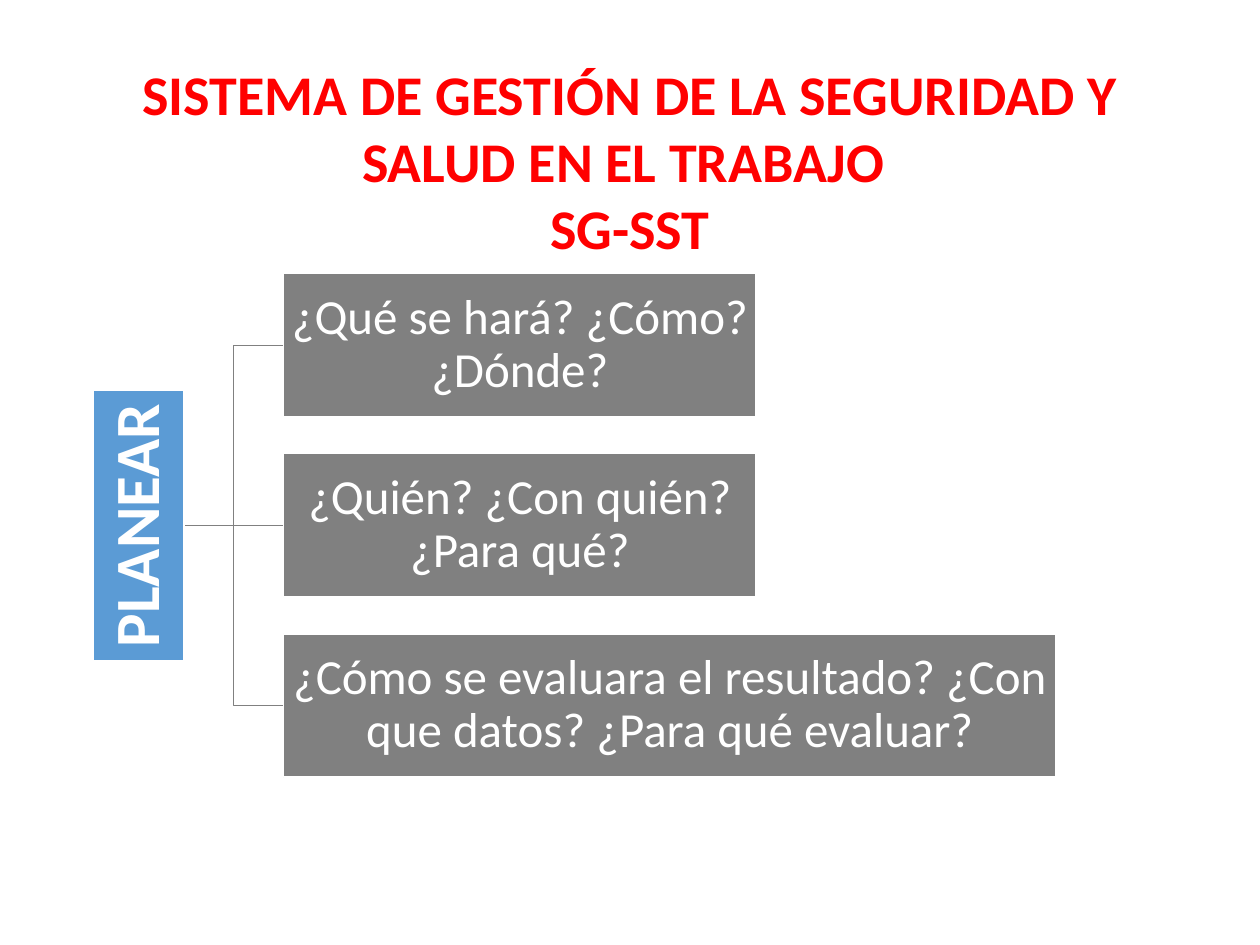
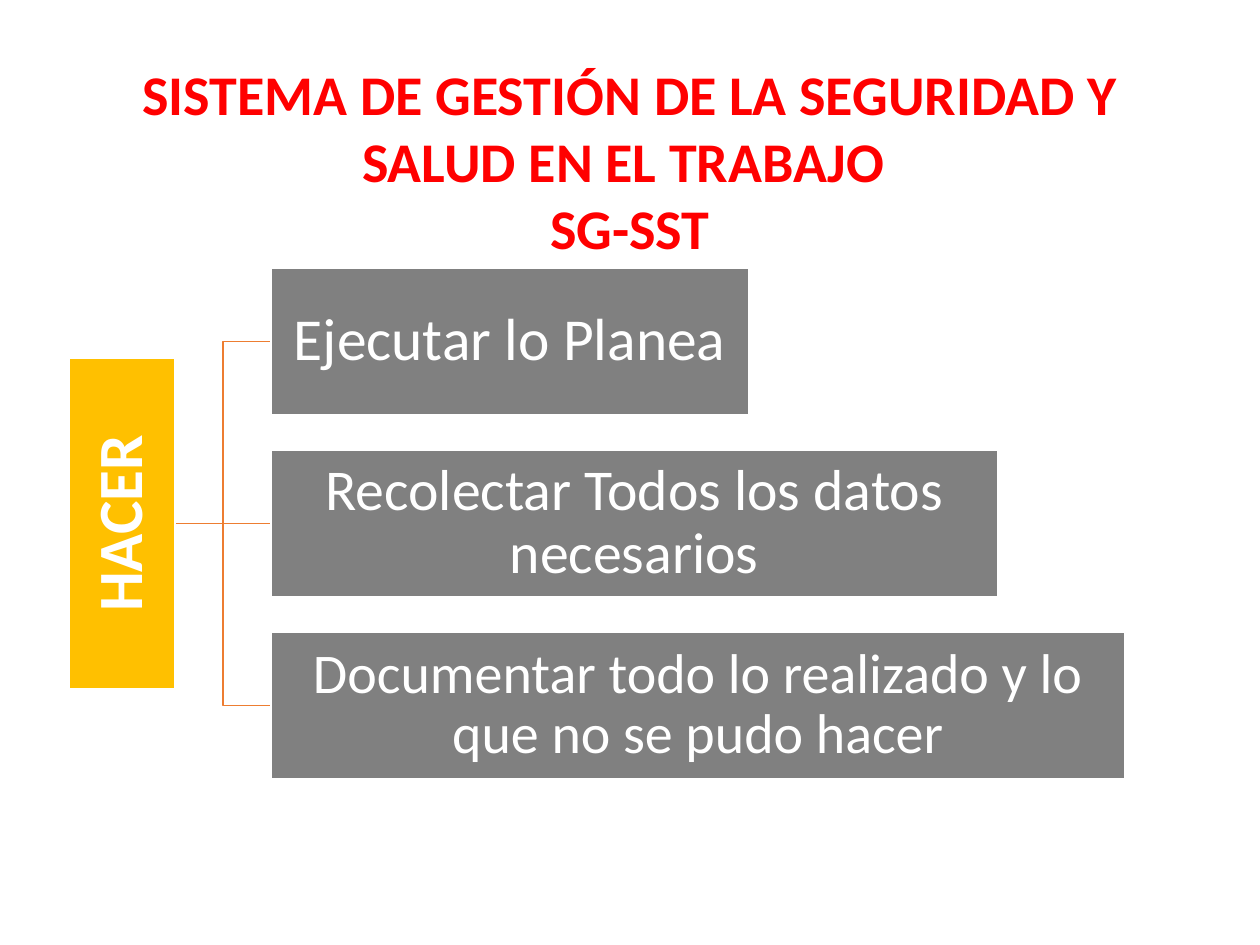
from lxml.etree import SubElement
from pptx import Presentation
from pptx.dml.color import RGBColor
from pptx.enum.shapes import MSO_CONNECTOR as Link, MSO_SHAPE as Shape
from pptx.enum.text import MSO_ANCHOR as Anchor, PP_ALIGN as Align
from pptx.oxml.ns import qn
from pptx.util import Inches, Pt

RED = RGBColor(0xFF, 0x00, 0x00)
WHITE = RGBColor(0xFF, 0xFF, 0xFF)
GRAY = RGBColor(0x80, 0x80, 0x80)
BLUE = RGBColor(0x5B, 0x9B, 0xD5)
GOLD = RGBColor(0xFF, 0xC0, 0x00)
ORANGE = RGBColor(0xED, 0x7D, 0x31)
FONT = "Calibri"
TITLE = ["SISTEMA DE GESTIÓN DE LA SEGURIDAD Y SALUD EN EL TRABAJO ", "SG-SST"]

# Lengths in inches; each step is (text, box width, font size)
PHASES = [
    {"name": "PLANEAR", "fill": BLUE, "left": 0.74, "width": 0.72, "height": 2.15,
     "line": GRAY, "line_width": 0.5,
     "steps_left": 2.25, "first_top": 2.17, "last_top": 5.03, "step_height": 1.14,
     "steps": [("¿Qué se hará? ¿Cómo? ¿Dónde?", 3.75, 28),
               ("¿Quién? ¿Con quién? ¿Para qué?", 3.75, 28),
               ("¿Cómo se evaluara el resultado? ¿Con que datos? ¿Para qué evaluar?", 6.13, 28)]},
    {"name": "HACER", "fill": GOLD, "left": 0.55, "width": 0.84, "height": 2.63,
     "line": ORANGE, "line_width": 1,
     "steps_left": 2.15, "first_top": 2.13, "last_top": 5.02, "step_height": 1.16,
     "steps": [("Ejecutar lo Planea", 3.79, 34),
               ("Recolectar Todos los datos necesarios", 5.77, 33),
               ("Documentar todo lo realizado y lo que no se pudo hacer", 6.78, 32)]},
]


def write(paragraph, text, size, color, bold=False):
    paragraph.text = text
    paragraph.alignment = Align.CENTER
    font = paragraph.font
    font.name, font.size, font.bold = FONT, Pt(size), bold
    font.color.rgb = color


def add_box(slide, bounds, fill, text, size, inset, bold=False):
    box = slide.shapes.add_shape(Shape.RECTANGLE, *map(Inches, bounds))
    box.shadow.inherit = False
    box.fill.solid()
    box.fill.fore_color.rgb = fill
    box.line.color.rgb = WHITE
    box.line.width = Pt(1)
    frame = box.text_frame
    frame.word_wrap = True
    frame.vertical_anchor = Anchor.MIDDLE
    for side in ("left", "right", "top", "bottom"):
        setattr(frame, f"margin_{side}", Inches(inset))
    write(frame.paragraphs[0], text, size, WHITE, bold)
    frame.paragraphs[0].line_spacing = 0.9
    return box


prs = Presentation()
prs.slide_width, prs.slide_height = Inches(10), Inches(7.5)

for phase in PHASES:
    slide = prs.slides.add_slide(prs.slide_layouts[6])

    title = slide.shapes.add_textbox(Inches(0.67), Inches(0.42), Inches(8.66), Inches(1.72))
    title.text_frame.word_wrap = True
    write(title.text_frame.paragraphs[0], TITLE[0], 32, RED, True)
    write(title.text_frame.add_paragraph(), TITLE[1], 32, RED, True)

    middle = (phase["first_top"] + phase["last_top"] + phase["step_height"]) / 2
    phase_bounds = (phase["left"], middle - phase["height"] / 2, phase["width"], phase["height"])
    phase_box = add_box(slide, phase_bounds, phase["fill"], phase["name"], 36, 0.03, True)
    phase_box.text_frame._txBody.bodyPr.set("vert", "vert270")

    pitch = (phase["last_top"] - phase["first_top"]) / (len(phase["steps"]) - 1)
    for i, (text, width, size) in enumerate(phase["steps"]):
        step_bounds = (phase["steps_left"], phase["first_top"] + i * pitch,
                       width, phase["step_height"])
        step_box = add_box(slide, step_bounds, GRAY, text, size, 0.02)

        branch = slide.shapes.add_connector(Link.STRAIGHT if i == 1 else Link.ELBOW, 0, 0, 0, 0)
        branch.begin_connect(phase_box, 3)
        branch.end_connect(step_box, 1)
        branch.line.color.rgb = phase["line"]
        branch.line.width = Pt(phase["line_width"])
        SubElement(branch._element.spPr, qn("a:effectLst"))
        # Branches lie behind the boxes so the white outlines stay whole
        slide.shapes._spTree.insert(2, branch._element)

prs.save("out.pptx")
